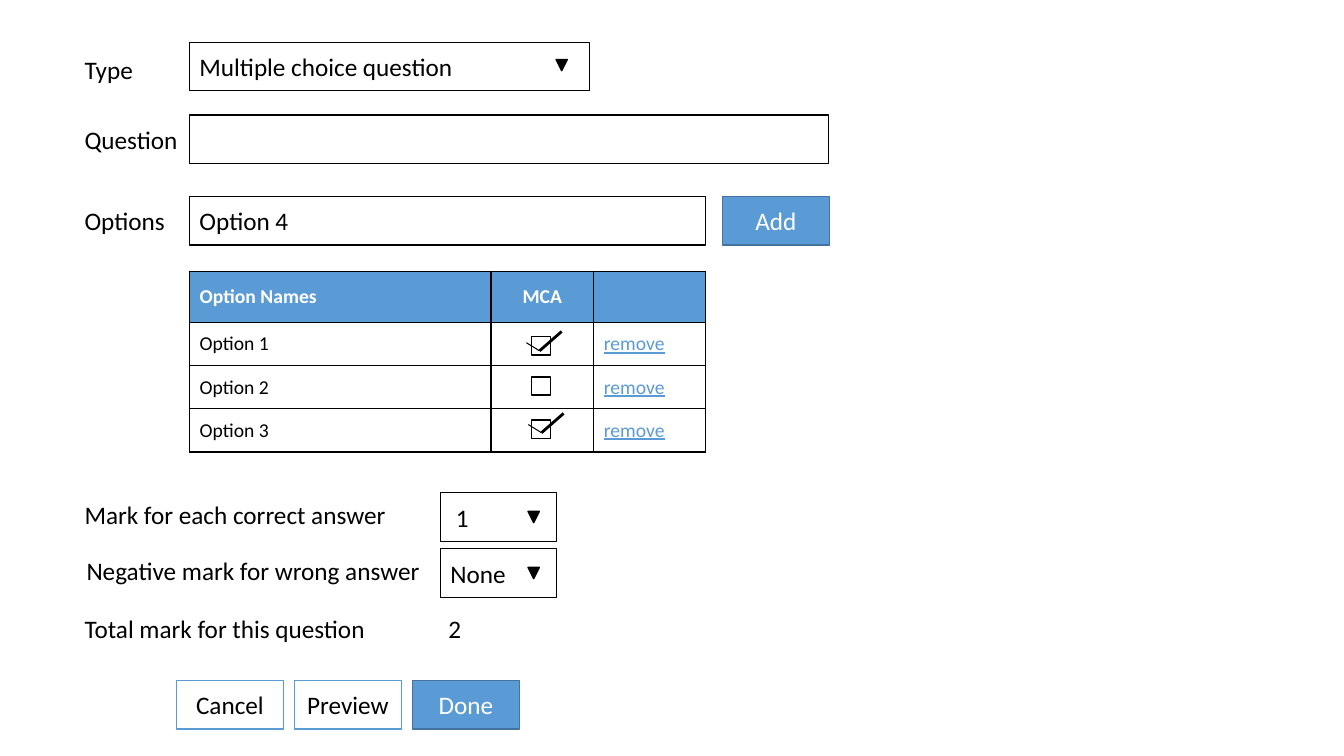
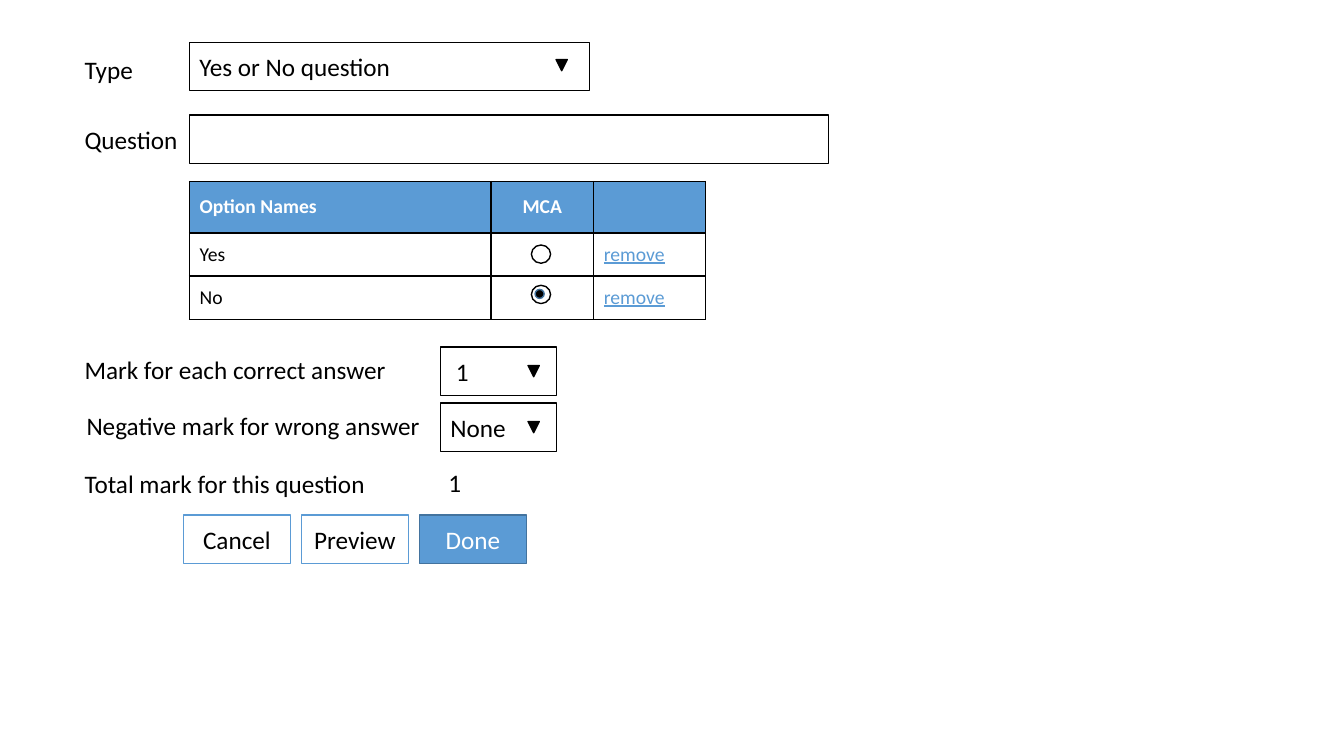
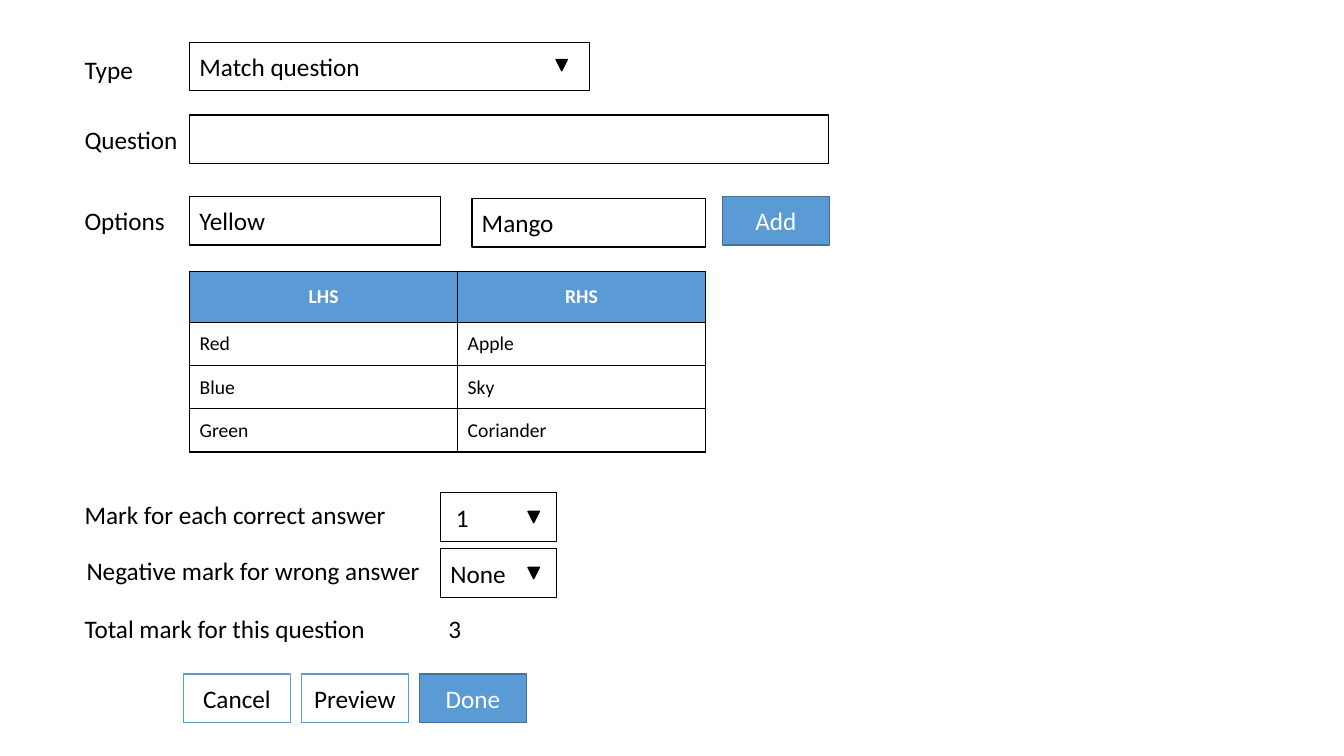
from dataclasses import dataclass
from typing import NamedTuple, Optional

from lxml import etree
from pptx import Presentation
from pptx import util as u
from pptx.dml.color import RGBColor
from pptx.enum import shapes, text
from pptx.oxml.ns import qn

FONT = "Calibri"
BLACK, WHITE, BLUE, DARK_BLUE = "000000", "FFFFFF", "5B9BD5", "43739E"
LABEL_LEFT, FIELD_LEFT, MARK_LEFT = 53.3, 135.4, 314.6
FIELD_HEIGHT = 34.7
OPTIONS_TOP = 140.4
BUTTON_WIDTH, BUTTON_PITCH = 76.5, 84.3
HEADER_HEIGHT, ROW_HEIGHT = 36.8, 30.8
BOX_LEFT, BOX_WIDTH, BOX_HEIGHT = 379.6, 13.7, 13


class Column(NamedTuple):
    title: str
    width: float
    centred: bool = True


class Entry(NamedTuple):
    value: str
    left: float
    top: float
    width: float


class Choice(NamedTuple):
    """A box in a table row; mark is the place of its tick or dot, from the box corner."""
    drop: float
    mark: Optional[tuple[float, float]] = None


@dataclass
class QuestionForm:
    kind: str
    total: str
    columns: list[Column]
    rows: list[list[str]]
    buttons_at: tuple[float, float]
    entries: tuple[Entry, ...] = ()
    choices: tuple[Choice, ...] = ()
    round_choices: bool = False
    table_top: float = 193.7
    marks_top: float = 352


OPTION_COLUMNS = [Column("Option Names", 215.3, False), Column("MCA", 73.4), Column("", 79.9)]

FORMS = [
    QuestionForm(
        "Multiple choice question", "2", OPTION_COLUMNS,
        [[f"Option {number}", "", "remove"] for number in (1, 2, 3)],
        (126, 486),
        entries=(Entry("Option 4", FIELD_LEFT, OPTIONS_TOP, 368.6),),
        choices=(Choice(10, (5.8, 10.1)), Choice(8), Choice(8, (7.2, 9))),
    ),
    QuestionForm(
        "Yes or No question", "1", OPTION_COLUMNS,
        [[answer, "", "remove"] for answer in ("Yes", "No")],
        (131, 367.9),
        choices=(Choice(8.6), Choice(6.6, (2.6, 2.9))),
        round_choices=True, table_top=129.6, marks_top=247.8,
    ),
    QuestionForm(
        "Match question", "3", [Column("LHS", 191.5), Column("RHS", 177.1)],
        [["Red", "Apple"], ["Blue", "Sky"], ["Green", "Coriander"]],
        (131, 481.4),
        entries=(Entry("Yellow", FIELD_LEFT, OPTIONS_TOP, 179.3),
                 Entry("Mango", 337, 141.8, 167)),
    ),
]


def color(value: str) -> RGBColor:
    return RGBColor.from_string(value)


def write(frame, words: str, ink: str = BLACK, size: float = 18, centred: bool = False,
          bold: bool = False, underline: bool = False) -> None:
    paragraph = frame.paragraphs[0]
    paragraph.alignment = text.PP_ALIGN.CENTER if centred else text.PP_ALIGN.LEFT
    run = paragraph.add_run()
    run.text = words
    run.font.name, run.font.size = FONT, u.Pt(size)
    run.font.bold, run.font.underline = bold, underline
    run.font.color.rgb = color(ink)


def add_box(slide, left: float, top: float, width: float, height: float = FIELD_HEIGHT,
            words: str = "", fill: str = WHITE, line: str = BLACK, ink: str = BLACK,
            centred: bool = False, preset=shapes.MSO_SHAPE.RECTANGLE):
    shape = slide.shapes.add_shape(preset, u.Pt(left), u.Pt(top), u.Pt(width), u.Pt(height))
    shape.shadow.inherit = False
    shape.fill.solid()
    shape.fill.fore_color.rgb = color(fill)
    shape.line.color.rgb = color(line)
    shape.line.width = u.Pt(1)
    if words:
        shape.text_frame.vertical_anchor = text.MSO_ANCHOR.MIDDLE
        write(shape.text_frame, words, ink, centred=centred)
    return shape


def add_label(slide, words: str, left: float, top: float, width: float) -> None:
    frame = slide.shapes.add_textbox(u.Pt(left), u.Pt(top), u.Pt(width), u.Pt(29)).text_frame
    frame.word_wrap = False
    frame.auto_size = text.MSO_AUTO_SIZE.SHAPE_TO_FIT_TEXT
    write(frame, words)


def add_dropdown(slide, words: str, left: float, top: float, width: float,
                 arrow_left: float, arrow_drop: float) -> None:
    add_box(slide, left, top, width, words=words)
    arrow = add_box(slide, arrow_left, top + arrow_drop, 8, 8, fill=BLACK,
                    preset=shapes.MSO_SHAPE.ISOSCELES_TRIANGLE)
    arrow.rotation = 180


def add_button(slide, words: str, left: float, top: float, primary: bool) -> None:
    fill, line, ink = (BLUE, DARK_BLUE, WHITE) if primary else (WHITE, BLUE, BLACK)
    add_box(slide, left, top, BUTTON_WIDTH, words=words, fill=fill, line=line, ink=ink,
            centred=True)


def set_borders(cell) -> None:
    properties = cell._tc.get_or_add_tcPr()
    for position, side in enumerate(("a:lnL", "a:lnR", "a:lnT", "a:lnB")):
        border = etree.Element(qn(side), w=str(u.Pt(1)))
        fill = etree.SubElement(border, qn("a:solidFill"))
        etree.SubElement(fill, qn("a:srgbClr"), val=BLACK)
        properties.insert(position, border)


def add_options_table(slide, form: QuestionForm) -> None:
    heights = [HEADER_HEIGHT] + [ROW_HEIGHT] * len(form.rows)
    width = sum(column.width for column in form.columns)
    table = slide.shapes.add_table(len(heights), len(form.columns), u.Pt(FIELD_LEFT),
                                   u.Pt(form.table_top), u.Pt(width), u.Pt(sum(heights))).table
    for table_column, column in zip(table.columns, form.columns):
        table_column.width = u.Pt(column.width)
    for table_row, height in zip(table.rows, heights):
        table_row.height = u.Pt(height)
    for row, values in enumerate([[column.title for column in form.columns]] + form.rows):
        header = row == 0
        for index, value in enumerate(values):
            cell = table.cell(row, index)
            cell.vertical_anchor = text.MSO_ANCHOR.MIDDLE
            cell.fill.solid()
            cell.fill.fore_color.rgb = color(BLUE if header else WHITE)
            set_borders(cell)
            if value:
                link = value == "remove"
                ink = WHITE if header else BLUE if link else BLACK
                write(cell.text_frame, value, ink, 14, header and form.columns[index].centred,
                      bold=header, underline=link)


def add_tick(slide, x: float, y: float) -> None:
    """Draw a short thin stroke and a long thick one that meet at (x, y)."""
    group = slide.shapes.add_group_shape()
    for end_x, end_y, weight in ((x - 9.4, y - 5.8, 0.75), (x + 15.8, y - 13.8, 2)):
        stroke = group.shapes.add_connector(shapes.MSO_CONNECTOR.STRAIGHT, u.Pt(x), u.Pt(y),
                                            u.Pt(end_x), u.Pt(end_y))
        stroke.line.color.rgb = color(BLACK)
        stroke.line.width = u.Pt(weight)
        etree.SubElement(stroke._element.spPr, qn("a:effectLst"))


def add_choices(slide, form: QuestionForm) -> None:
    oval, square = shapes.MSO_SHAPE.OVAL, shapes.MSO_SHAPE.RECTANGLE
    for row, choice in enumerate(form.choices):
        top = form.table_top + HEADER_HEIGHT + row * ROW_HEIGHT + choice.drop
        add_box(slide, BOX_LEFT, top, BOX_WIDTH, BOX_HEIGHT,
                preset=oval if form.round_choices else square)
        if choice.mark is None:
            continue
        x, y = BOX_LEFT + choice.mark[0], top + choice.mark[1]
        if form.round_choices:
            add_box(slide, x, y, 6.5, 6.5, fill=BLACK, line=DARK_BLUE, preset=oval)
        else:
            add_tick(slide, x, y)


def add_marks(slide, form: QuestionForm) -> None:
    top = form.marks_top
    lines = (("Mark for each correct answer", " 1", LABEL_LEFT, 231.8, 0),
             ("Negative mark for wrong answer", "None", 54.7, 255.6, 40))
    for label, value, left, width, drop in lines:
        add_label(slide, label, left, top + drop + 1.4, width)
        add_dropdown(slide, value, MARK_LEFT, top + drop, 83, 377.2, 13.3)
    add_label(slide, "Total mark for this question", LABEL_LEFT, top + 82.8, 216.7)
    add_label(slide, form.total, 313.2, top + 82.4, 23.8)


def build_form(slide, form: QuestionForm) -> None:
    add_label(slide, "Type", LABEL_LEFT, 35.3, 49.7)
    add_dropdown(slide, form.kind, FIELD_LEFT, 30.2, 285.9, 397.2, 12.3)
    add_label(slide, "Question", LABEL_LEFT, 85, 82)
    add_box(slide, FIELD_LEFT, 82.1, 456.5)
    if form.entries:
        add_label(slide, "Options", LABEL_LEFT, 143.3, 72.7)
        add_button(slide, "Add", 516, OPTIONS_TOP, primary=True)
    for entry in form.entries:
        add_box(slide, entry.left, entry.top, entry.width, words=entry.value)
    add_options_table(slide, form)
    add_choices(slide, form)
    add_marks(slide, form)
    left, top = form.buttons_at
    for position, caption in enumerate(("Cancel", "Preview", "Done")):
        add_button(slide, caption, left + position * BUTTON_PITCH, top, caption == "Done")


def main() -> None:
    presentation = Presentation()
    presentation.slide_width, presentation.slide_height = u.Pt(960), u.Pt(540)
    blank_layout = presentation.slide_layouts[6]
    for form in FORMS:
        build_form(presentation.slides.add_slide(blank_layout), form)
    presentation.save("out.pptx")


if __name__ == "__main__":
    main()
